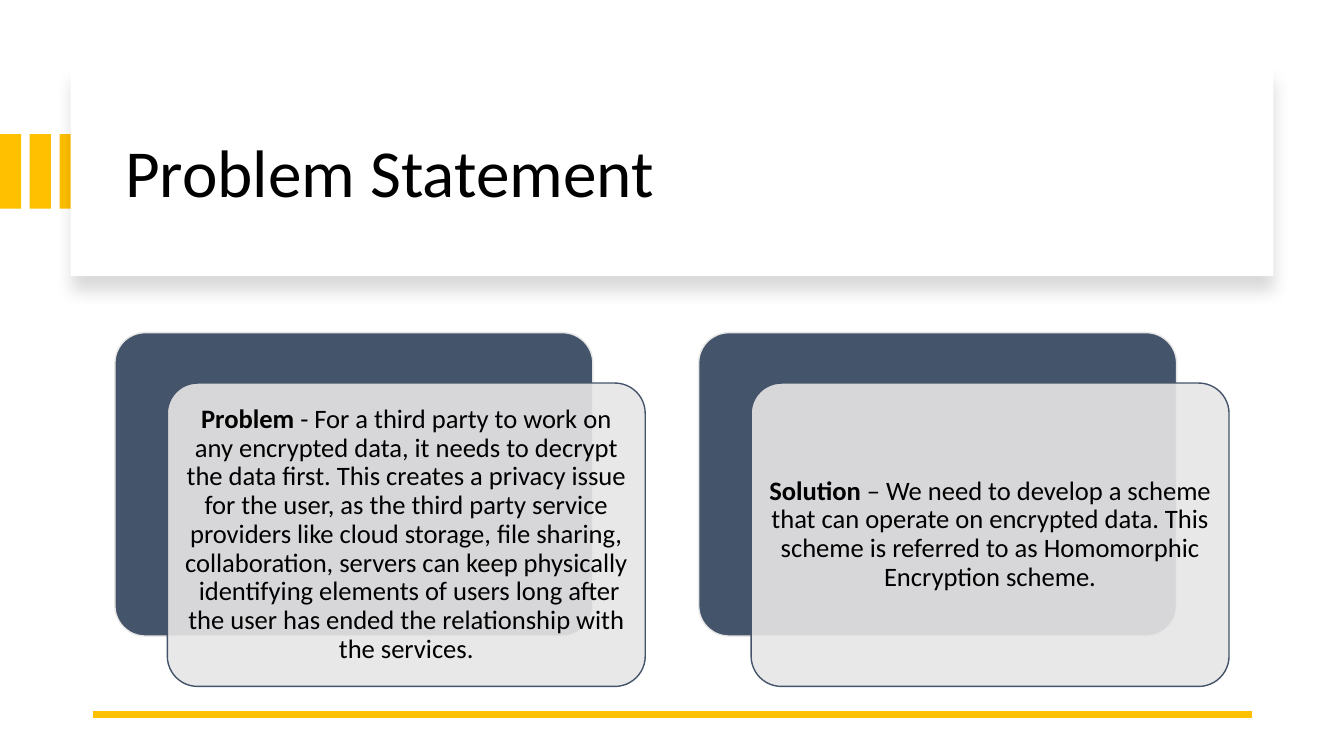
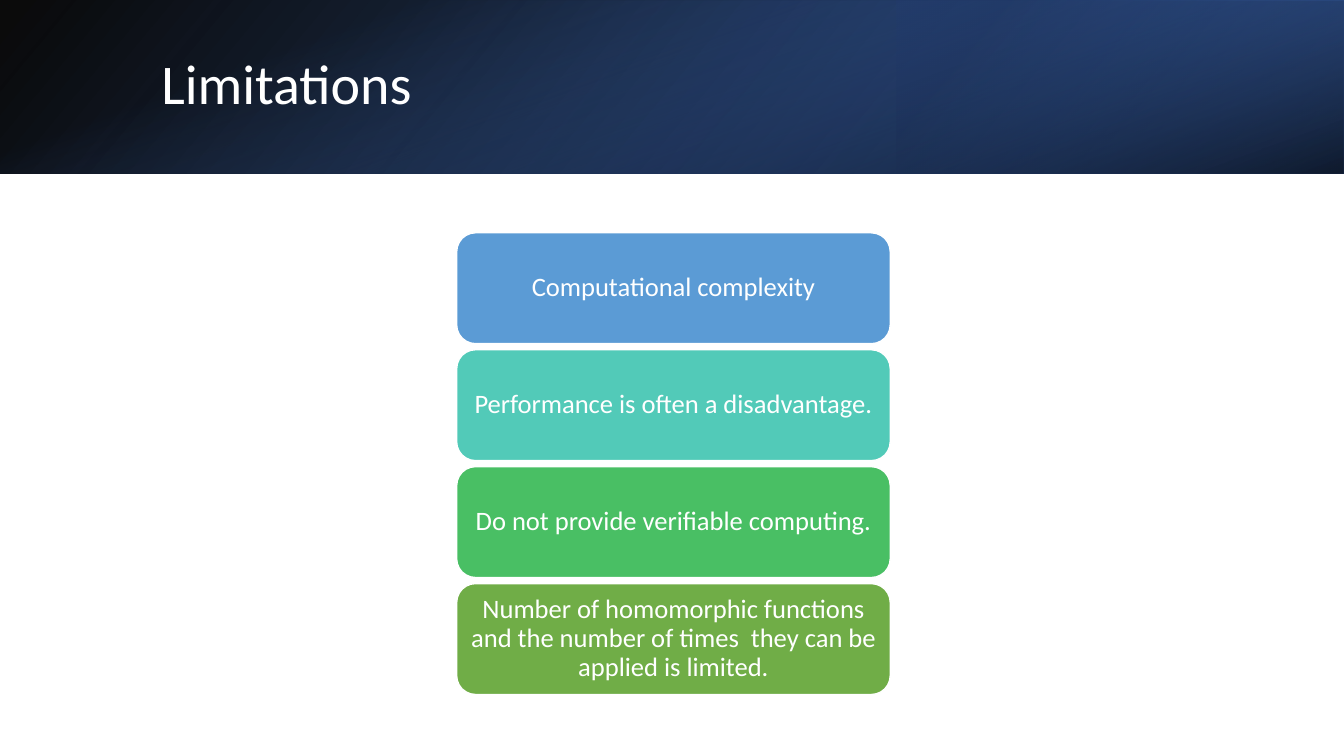
from dataclasses import dataclass

from lxml import etree
from pptx import Presentation
from pptx.dml.color import RGBColor
from pptx.enum.shapes import MSO_CONNECTOR, MSO_SHAPE
from pptx.enum.text import MSO_ANCHOR, PP_ALIGN
from pptx.oxml import parse_xml
from pptx.oxml.ns import nsdecls, qn
from pptx.shapes.autoshape import Shape
from pptx.slide import Slide
from pptx.util import Inches, Pt


@dataclass(frozen=True)
class Theme:
    font: str = "Calibri"
    black: str = "000000"
    white: str = "FFFFFF"
    gold: str = "FFC000"
    slate: str = "44546A"
    mist: str = "E7E6E6"
    blue: str = "4472C4"
    blue_dark: str = "2F5597"
    navy: str = "203864"
    title_large: int = 48
    title_small: int = 40
    body: int = 19


@dataclass(frozen=True)
class Box:
    left: float
    top: float
    width: float
    height: float

    def shifted(self, dx: float = 0, dy: float = 0) -> "Box":
        return Box(self.left + dx, self.top + dy, self.width, self.height)

    def lengths(self) -> list[Inches]:
        return [Inches(v) for v in (self.left, self.top, self.width, self.height)]


@dataclass(frozen=True)
class Stop:
    """Gradient stop; position and opacity are percentages."""
    position: int
    color: str
    opacity: int = 100


@dataclass(frozen=True)
class BandLayer:
    box: Box
    angle: int
    stops: tuple[Stop, ...]
    rotation: int = 0
    flipped: bool = False


@dataclass(frozen=True)
class Card:
    heading: str
    text: str


@dataclass(frozen=True)
class Limitation:
    text: str
    color: str


THEME = Theme()
BAND_HEIGHT = 1.72
BAND_LAYERS = (
    BandLayer(Box(0, 0, 13.33, BAND_HEIGHT), 140,
              (Stop(0, THEME.black, 96), Stop(100, THEME.blue_dark)), flipped=True),
    BandLayer(Box(8.89, 0, 4.44, BAND_HEIGHT), 320,
              (Stop(19, THEME.navy, 68), Stop(100, THEME.blue, 79)), 180, True),
    BandLayer(Box(5.8, -5.8, BAND_HEIGHT, 13.33), 340,
              (Stop(23, THEME.blue, 0), Stop(99, THEME.black, 74)), 90),
)
CARDS = (
    Card("Problem", " - For a third party to work on any encrypted data, it needs to decrypt "
         "the data first. This creates a privacy issue for the user, as the third party service "
         "providers like cloud storage, file sharing, collaboration, servers can keep "
         "physically  identifying elements of users long after the user has ended the "
         "relationship with the services."),
    Card("Solution ", "– We need to develop a scheme that can operate on encrypted data. "
         "This scheme is referred to as Homomorphic Encryption scheme."),
)
LIMITATIONS = (
    Limitation("Computational complexity", "5B9BD5"),
    Limitation("Performance is often a disadvantage.", "52CAB8"),
    Limitation("Do not provide verifiable computing.", "49BF64"),
    Limitation("Number of homomorphic functions and the number of times  they can be "
               "applied is limited.", "70AD47"),
)


def rgb(color: str) -> RGBColor:
    return RGBColor.from_string(color)


def add_box(s: Slide, box: Box, fill: str, line: str | None = None,
            preset: MSO_SHAPE = MSO_SHAPE.RECTANGLE) -> Shape:
    sp = s.shapes.add_shape(preset, *box.lengths())
    sp.shadow.inherit = False
    sp.fill.solid()
    sp.fill.fore_color.rgb = rgb(fill)
    if line:
        sp.line.color.rgb = rgb(line)
        sp.line.width = Pt(1)
    else:
        sp.line.fill.background()
    return sp


def add_rounded(s: Slide, box: Box, fill: str, line: str, radius: float) -> Shape:
    sp = add_box(s, box, fill, line, MSO_SHAPE.ROUNDED_RECTANGLE)
    sp.adjustments[0] = radius
    return sp


def write_centred(sp: Shape, runs: list[tuple[str, bool]], color: str, inset_y: float) -> None:
    """Fill a shape with one centred paragraph of (text, bold) runs."""
    tf = sp.text_frame
    tf.word_wrap = True
    tf.vertical_anchor = MSO_ANCHOR.MIDDLE
    tf.margin_left = tf.margin_right = Inches(0.08)
    tf.margin_top = tf.margin_bottom = Inches(inset_y)
    p = tf.paragraphs[0]
    p.alignment = PP_ALIGN.CENTER
    p.line_spacing = 0.9
    p.font.name, p.font.size = THEME.font, Pt(THEME.body)
    p.font.color.rgb = rgb(color)
    for text, bold in runs:
        r = p.add_run()
        r.text = text
        r.font.bold = bold


def set_title(s: Slide, text: str, box: Box, size: int, color: str) -> None:
    """Format the title placeholder and bring it in front of the shapes drawn so far."""
    title = s.shapes.title
    title.left, title.top, title.width, title.height = box.lengths()
    tf = title.text_frame
    tf.text = text
    tf.word_wrap = True
    tf.vertical_anchor = MSO_ANCHOR.MIDDLE
    p = tf.paragraphs[0]
    p.alignment = PP_ALIGN.LEFT
    p.line_spacing = 0.9
    p.font.name, p.font.size = THEME.font, Pt(size)
    p.font.color.rgb = rgb(color)
    s.shapes._spTree.append(title._element)


def set_opacity(sp: Shape, percent: int) -> None:
    color = sp._element.spPr.find(qn("a:solidFill")).find(qn("a:srgbClr"))
    etree.SubElement(color, qn("a:alpha"), val=str(percent * 1000))


def add_soft_shadow(sp: Shape) -> None:
    effects = sp._element.spPr.find(qn("a:effectLst"))
    effects.append(parse_xml(
        f'<a:outerShdw {nsdecls("a")} blurRad="{Pt(11)}" dist="{Pt(10)}" dir="5400000" '
        f'algn="t" rotWithShape="0"><a:srgbClr val="{THEME.black}">'
        '<a:alpha val="15000"/></a:srgbClr></a:outerShdw>'))


def add_band_layer(s: Slide, layer: BandLayer) -> None:
    sp = add_box(s, layer.box, THEME.blue)
    sp.rotation = layer.rotation
    sp_pr = sp._element.spPr
    if layer.flipped:
        sp_pr.find(qn("a:xfrm")).set("flipH", "1")
    stops = "".join(
        f'<a:gs pos="{stop.position * 1000}"><a:srgbClr val="{stop.color}">'
        f'<a:alpha val="{stop.opacity * 1000}"/></a:srgbClr></a:gs>' for stop in layer.stops)
    gradient = parse_xml(
        f'<a:gradFill {nsdecls("a")} rotWithShape="1"><a:gsLst>{stops}</a:gsLst>'
        f'<a:lin ang="{layer.angle * 60000}" scaled="0"/></a:gradFill>')
    sp_pr.replace(sp_pr.find(qn("a:solidFill")), gradient)


def add_rule(s: Slide, left: float, right: float, y: float) -> None:
    line = s.shapes.add_connector(MSO_CONNECTOR.STRAIGHT, Inches(right), Inches(y),
                                  Inches(left), Inches(y))
    line.line.color.rgb = rgb(THEME.gold)
    line.line.width = Pt(4.5)
    etree.SubElement(line._element.spPr, qn("a:effectLst"))


def add_card(s: Slide, card: Card, back: Box) -> None:
    add_rounded(s, back, THEME.slate, THEME.mist, 0.1)
    front = add_rounded(s, back.shifted(0.52, 0.5), THEME.mist, THEME.slate, 0.1)
    set_opacity(front, 90)
    write_centred(front, [(card.heading, True), (card.text, False)], THEME.black, 0.08)


def build_problem(s: Slide) -> None:
    for i in range(3):
        add_box(s, Box(0, 1.33, 0.21, 0.74).shifted(dx=i * 0.59 / 2), THEME.gold)
    add_soft_shadow(add_box(s, Box(0.7, 0.67, 11.93, 2.07), THEME.white))
    set_title(s, "Problem Statement", Box(1.14, 0.89, 11.13, 1.7),
              THEME.title_large, THEME.black)
    add_rule(s, 0.92, 12.42, 7.09)
    for i, card in enumerate(CARDS):
        add_card(s, card, Box(1.14, 3.3, 4.74, 3.01).shifted(dx=i * 5.79))


def build_limitations(s: Slide) -> None:
    for layer in BAND_LAYERS:
        add_band_layer(s, layer)
    set_title(s, "Limitations", Box(1.5, 0.38, 10.98, 0.96), THEME.title_small, THEME.white)
    for i, item in enumerate(LIMITATIONS):
        box = Box(4.53, 2.31, 4.3, 1.1).shifted(dy=i * 1.16)
        sp = add_rounded(s, box, item.color, THEME.white, 0.17)
        write_centred(sp, [(item.text, False)], THEME.white, 0.04)


def main() -> None:
    prs = Presentation()
    prs.slide_width, prs.slide_height = Inches(13.33), Inches(7.5)
    title_only = prs.slide_layouts[5]
    for build in (build_problem, build_limitations):
        build(prs.slides.add_slide(title_only))
    prs.save("out.pptx")


if __name__ == "__main__":
    main()
